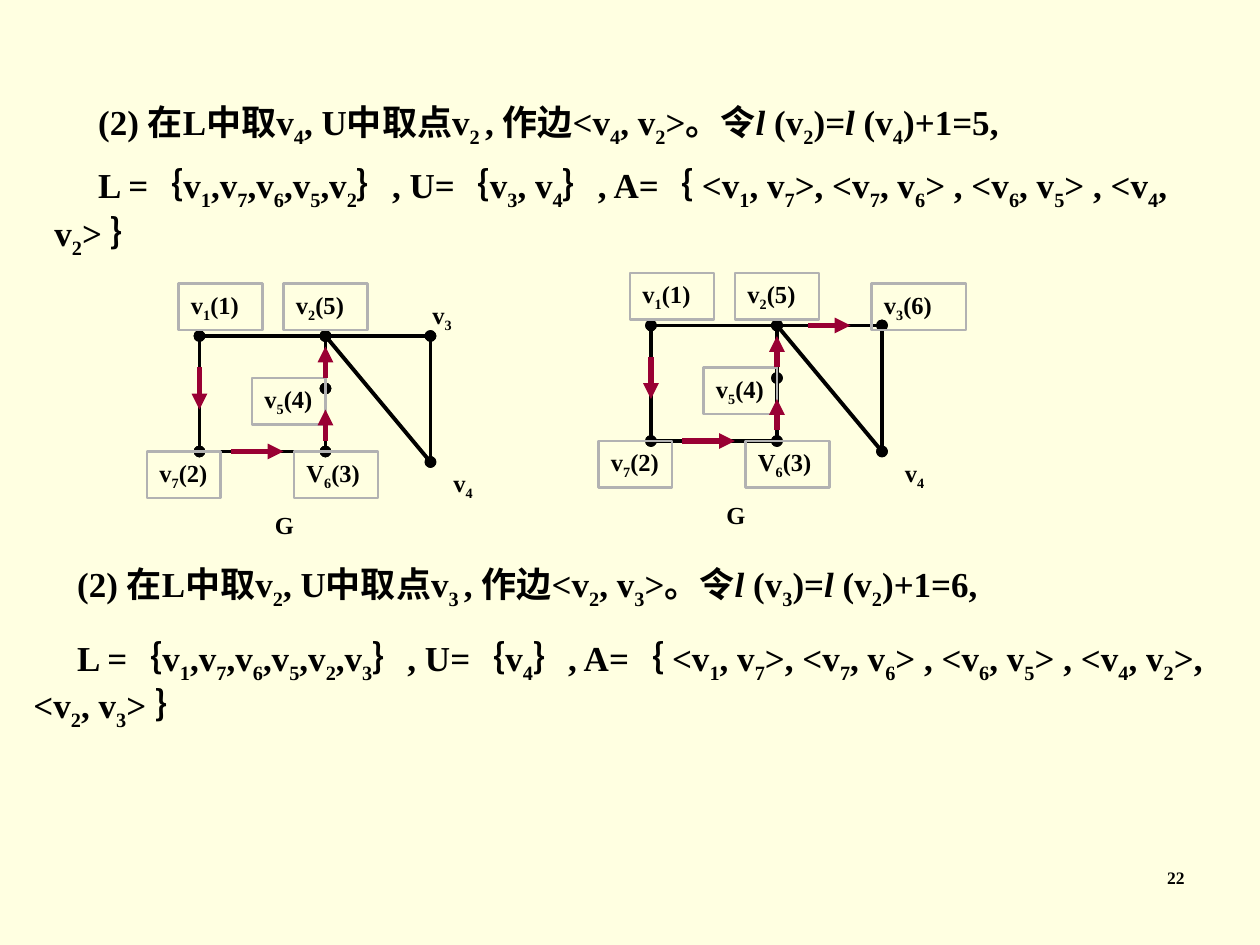
from dataclasses import dataclass
from typing import Any

from lxml.etree import SubElement
from pptx import Presentation
from pptx.dml.color import RGBColor
from pptx.enum.shapes import MSO_CONNECTOR, MSO_SHAPE
from pptx.enum.text import MSO_ANCHOR, PP_ALIGN
from pptx.oxml.ns import qn
from pptx.util import Pt

COLOURS = {"paper": "FFFFE1", "ink": "000000", "frame": "B2B2B2", "path": "990033"}
FONT = {"name": "Times New Roman", "bold": True}
FRAME = {"word_wrap": True, "vertical_anchor": MSO_ANCHOR.TOP, "margin_left": Pt(7.2),
         "margin_right": Pt(7.2), "margin_top": Pt(3.6), "margin_bottom": Pt(3.6)}

NODES = {"v1": (0, 0), "v2": (72, 0), "v3": (132, 0), "v4": (132, 72),
         "v5": (72, 30), "v6": (72, 66), "v7": (0, 66)}
EDGES = [("v1", "v7"), ("v7", "v6"), ("v1", "v2"), ("v2", "v5"),
         ("v5", "v6"), ("v2", "v3"), ("v3", "v4"), ("v2", "v4")]
LABELS = [("v[2](5)", 48, -30, 48), ("v[1](1)", -12, -30, 48), ("V[6](3)", 54, 66, 48),
          ("v[5](4)", 30, 24, 42), ("v[7](2)", -30, 66, 42)]
ARROWS = [((0, 18), (0, 42)), ((18, 66), (48, 66)), ((72, 60), (72, 42)), ((72, 24), (72, 6))]

STEPS = [
    (24, 54, 34.6, "(2) 在L中取v[4], U中取点v[2 ], 作边<v[4], v[2]>。令[l ](v[2])=[l ](v[4])+1=5,"),
    (24, 90, 62, "L =｛v[1],v[7],v[6],v[5],v[2]｝, U=｛v[3], v[4]｝, A=｛ <v[1], v[7]>, "
                 "<v[7], v[6]> , <v[6], v[5]> , <v[4], v[2]> ｝"),
    (12, 318, 34.6, "(2) 在L中取v[2], U中取点v[3 ], 作边<v[2], v[3]>。令[l ](v[3])=[l ](v[2])+1=6,"),
    (12, 360, 62, "L =｛v[1],v[7],v[6],v[5],v[2],v[3]｝, U=｛v[4]｝, A=｛ <v[1], v[7]>, "
                  "<v[7], v[6]> , <v[6], v[5]> , <v[4], v[2]>, <v[2], v[3]> ｝"),
]


def colour(name):
    """Return the named colour."""
    return RGBColor.from_string(COLOURS[name])


def apply(target, values):
    """Set each attribute of the target from a dict."""
    for name, value in values.items():
        setattr(target, name, value)


@dataclass
class Painter:
    """Hold the style, the page and the shape collection being drawn into."""
    page: Any
    shapes: Any

    def fill_text(self, box, text, size, align=PP_ALIGN.LEFT, indent=0):
        """Fill a box with text whose bracketed parts are subscripts or the italic l."""
        apply(box.text_frame, FRAME)
        para = box.text_frame.paragraphs[0]
        para.alignment = align
        if indent:
            para._p.get_or_add_pPr().set("indent", str(Pt(indent)))
        for index, piece in enumerate(text.replace("]", "[").split("[")):
            if not piece:
                continue
            span = para.add_run()
            span.text = piece
            apply(span.font, FONT | {"size": Pt(size)})
            span.font.color.rgb = colour("ink")
            if index % 2:
                if piece.startswith("l"):
                    span.font.italic = True
                else:
                    span.font._element.set("baseline", "-25000")

    def text(self, left, top, width, height, text, size, **layout):
        """Add a plain text box."""
        box = self.shapes.add_textbox(Pt(left), Pt(top), Pt(width), Pt(height))
        self.fill_text(box, text, size, **layout)

    def label(self, left, top, width, text):
        """Add a framed vertex label."""
        box = self.shapes.add_shape(MSO_SHAPE.RECTANGLE, Pt(left), Pt(top), Pt(width), Pt(26.6))
        box.shadow.inherit = False
        box.fill.background()
        box.line.color.rgb = colour("frame")
        box.line.width = Pt(1.5)
        self.fill_text(box, text, 14)
        box.text_frame.margin_right = 0

    def line(self, start, end, tint, width, **ends):
        """Add a straight line with the given end marks."""
        line = self.shapes.add_connector(MSO_CONNECTOR.STRAIGHT, *map(Pt, start + end))
        line.line.color.rgb = colour(tint)
        line.line.width = Pt(width)
        outline = line.line._get_or_add_ln()
        for end_name, mark in ends.items():
            SubElement(outline, qn(f"a:{end_name}"), type=mark)
        SubElement(line._element.spPr, qn("a:effectLst"))

    def graph(self, left, top, labels, names, arrows):
        """Draw the graph as a group with its first vertex at left, top."""
        def at(point):
            """Move a point from the graph to the page."""
            return left + point[0], top + point[1]

        self.shapes = self.page.shapes.add_group_shape().shapes
        self.text(*at((36, 96)), 61, 24.5, "G", 14)
        for start, end in EDGES:
            self.line(at(NODES[start]), at(NODES[end]), "ink", 2.25, headEnd="oval", tailEnd="oval")
        for text, x, y, width in labels:
            self.label(*at((x, y)), width, text)
        for text, x, y in names:
            self.text(*at((x, y)), 31, 26.6, text, 14)
        for start, end in arrows:
            self.line(at(start), at(end), "path", 3, tailEnd="triangle")
        self.shapes = self.page.shapes


def main():
    """Build the slide."""
    deck = Presentation()
    apply(deck, {"slide_width": Pt(720), "slide_height": Pt(540)})
    page = deck.slides.add_slide(deck.slide_layouts[6])
    page.background.fill.solid()
    page.background.fill.fore_color.rgb = colour("paper")
    painter = Painter(page, page.shapes)
    painter.text(534, 492, 150, 36, "22", 10, align=PP_ALIGN.RIGHT)
    for left, top, height, text in STEPS:
        painter.text(left, top, 696, height, text, 20, indent=25)
    fourth = ("v[4]", 138, 72)
    painter.graph(114, 192, LABELS, [fourth, ("v[3]", 126, -24)], ARROWS)
    painter.graph(372, 186, LABELS + [("v[3](6)", 126, -24, 54)], [fourth],
                  ARROWS + [((90, 0), (114, 0))])
    deck.save("out.pptx")


if __name__ == "__main__":
    main()
